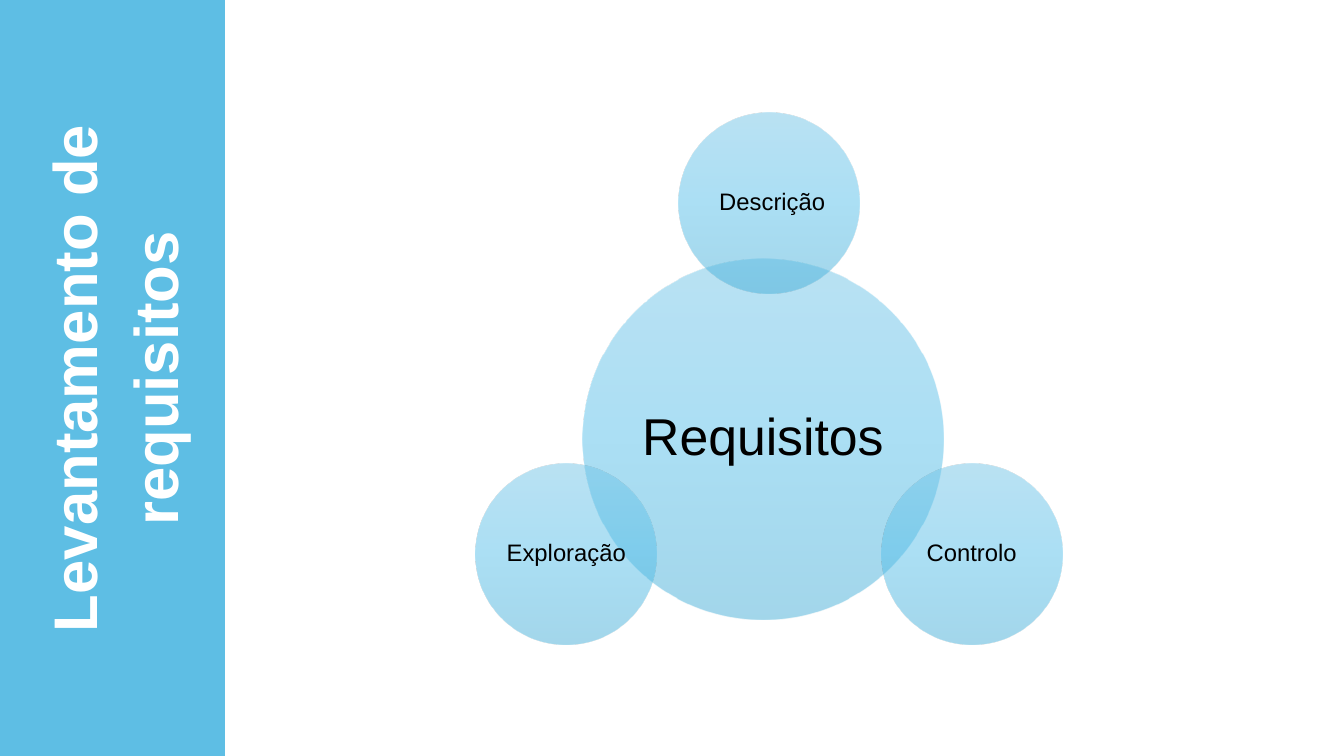
from dataclasses import dataclass
from math import cos, radians, sin

from lxml.etree import SubElement
from pptx import Presentation
from pptx.dml.color import RGBColor
from pptx.enum.shapes import MSO_SHAPE
from pptx.enum.text import MSO_ANCHOR, MSO_AUTO_SIZE, PP_ALIGN
from pptx.oxml.ns import qn
from pptx.util import Pt

TITLE = "Levantamento de requisitos"
HUB = "Requisitos"
SATELLITES = [(" Descrição", -90), ("Controlo", 30), ("Exploração ", 150)]

SLIDE_SIZE = (1344, 756)
BAR_WIDTH = 225
TITLE_BOX = (-230, 321, 679, 115)
HUB_CENTER, HUB_DIAMETER = (763, 439), 360
ORBIT_CENTER, ORBIT_RADIUS = (769, 437), 234
SATELLITE_DIAMETER = 181


@dataclass(frozen=True)
class Theme:
    font: str = "Arial"
    bar: str = "5EBEE4"
    title_text: str = "FFFFFF"
    circle_text: str = "000000"
    gradient: tuple = ((0, "74C6E8"), (50, "57C1EB"), (100, "46AFD8"))
    opacity: int = 50
    title_size: int = 44
    hub_size: int = 37
    satellite_size: int = 17


THEME = Theme()


def px(length):
    return round(length * 914400 / 100.8)


def add_plain_shape(slide, kind, box):
    shape = slide.shapes.add_shape(kind, *map(px, box))
    shape.shadow.inherit = False
    shape.line.fill.background()
    return shape


def write_text(shape, text, size, color, line_spacing, bold=False):
    frame = shape.text_frame
    frame.word_wrap = True
    frame.auto_size = MSO_AUTO_SIZE.NONE
    frame.vertical_anchor = MSO_ANCHOR.MIDDLE
    paragraph = frame.paragraphs[0]
    paragraph.alignment = PP_ALIGN.CENTER
    paragraph.line_spacing = line_spacing
    paragraph.space_before = Pt(0)
    run = paragraph.add_run()
    run.text = text
    run.font.name = THEME.font
    run.font.size = Pt(size)
    run.font.bold = bold
    run.font.color.rgb = RGBColor.from_string(color)


def fill_translucent(shape):
    """Give the shape the theme's vertical, half-transparent gradient."""
    shape.fill.gradient()
    gradient = shape.element.spPr.find(qn("a:gradFill"))
    stops = gradient.find(qn("a:gsLst"))
    for stop in list(stops):
        stops.remove(stop)
    for position, color in THEME.gradient:
        stop = SubElement(stops, qn("a:gs"), pos=str(position * 1000))
        tone = SubElement(stop, qn("a:srgbClr"), val=color)
        SubElement(tone, qn("a:alpha"), val=str(THEME.opacity * 1000))
    gradient.find(qn("a:lin")).set("ang", str(90 * 60000))


def add_circle(slide, text, center, diameter, size, inset):
    left, top = (middle - diameter / 2 for middle in center)
    circle = add_plain_shape(slide, MSO_SHAPE.OVAL, (left, top, diameter, diameter))
    fill_translucent(circle)
    frame = circle.text_frame
    frame.margin_left = frame.margin_right = px(inset)
    frame.margin_top = frame.margin_bottom = px(inset)
    write_text(circle, text, size, THEME.circle_text, 0.9)


def add_title_bar(slide):
    bar = add_plain_shape(slide, MSO_SHAPE.RECTANGLE, (0, 0, BAR_WIDTH, SLIDE_SIZE[1]))
    bar.fill.solid()
    bar.fill.fore_color.rgb = RGBColor.from_string(THEME.bar)
    title = slide.shapes.title
    bar.element.addnext(title.element)
    title.left, title.top, title.width, title.height = map(px, TITLE_BOX)
    title.rotation = 270
    write_text(title, TITLE, THEME.title_size, THEME.title_text, 1.1, bold=True)


def main():
    presentation = Presentation()
    presentation.slide_width, presentation.slide_height = map(px, SLIDE_SIZE)
    slide = presentation.slides.add_slide(presentation.slide_layouts[5])
    add_title_bar(slide)
    add_circle(slide, HUB, HUB_CENTER, HUB_DIAMETER, THEME.hub_size, 5)
    for text, degrees in SATELLITES:
        angle = radians(degrees)
        center = (ORBIT_CENTER[0] + ORBIT_RADIUS * cos(angle),
                  ORBIT_CENTER[1] + ORBIT_RADIUS * sin(angle))
        add_circle(slide, text, center, SATELLITE_DIAMETER, THEME.satellite_size, 2)
    presentation.save("out.pptx")


if __name__ == "__main__":
    main()
